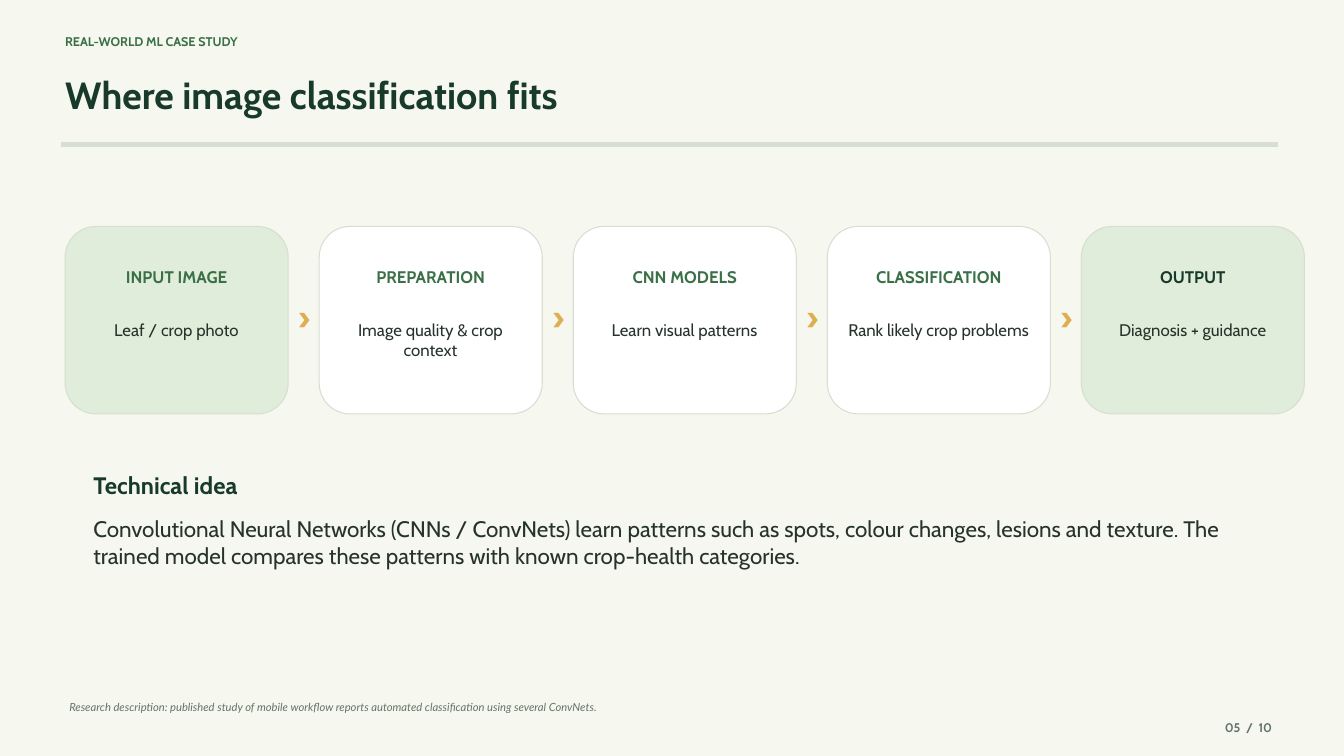
import pptx
import pptx.util
import pptx.dml.color
import pptx.enum.shapes
import pptx.enum.text

Pt = pptx.util.Pt
ALIGN = pptx.enum.text.PP_ALIGN
SHAPE = pptx.enum.shapes.MSO_SHAPE

COLORS = {
    "paper": "F6F7EF",
    "forest": "183A2B",
    "green": "3A7048",
    "mint": "E0EDDA",
    "border": "D6DFD2",
    "white": "FFFFFF",
    "ink": "26332B",
    "muted": "647468",
    "amber": "E0AE52",
}


class Deck:
    font = "Cabin"
    line_ratio = 1.2
    border_width = 1.13

    def __init__(self, width, height):
        self.presentation = pptx.Presentation()
        self.presentation.slide_width = Pt(width)
        self.presentation.slide_height = Pt(height)
        self.slide = None

    def color(self, name):
        return pptx.dml.color.RGBColor.from_string(COLORS[name])

    def add_slide(self, background):
        self.slide = self.presentation.slides.add_slide(self.presentation.slide_layouts[6])
        fill = self.slide.background.fill
        fill.solid()
        fill.fore_color.rgb = self.color(background)

    def text(self, box, wording, size, color, bold=False, italic=False, align=ALIGN.LEFT, font=None):
        frame = self.slide.shapes.add_textbox(*map(Pt, box)).text_frame
        frame.margin_left = frame.margin_right = frame.margin_top = frame.margin_bottom = 0
        frame.word_wrap = True
        frame.auto_size = pptx.enum.text.MSO_AUTO_SIZE.SHAPE_TO_FIT_TEXT
        paragraph = frame.paragraphs[0]
        paragraph.alignment = align
        paragraph.line_spacing = Pt(size * self.line_ratio)
        run = paragraph.add_run()
        run.text = wording
        run.font.name = font or self.font
        run.font.size = Pt(size)
        run.font.bold = bold
        run.font.italic = italic
        run.font.color.rgb = self.color(color)

    def panel(self, box, fill, radius=0):
        kind = SHAPE.ROUNDED_RECTANGLE if radius else SHAPE.RECTANGLE
        panel = self.slide.shapes.add_shape(kind, *map(Pt, box))
        if radius:
            panel.adjustments[0] = radius / min(box[2:])
        panel.shadow.inherit = False
        panel.fill.solid()
        panel.fill.fore_color.rgb = self.color(fill)
        panel.line.color.rgb = self.color("border")
        panel.line.width = Pt(self.border_width)

    def stage(self, left, heading, detail, fill, heading_color):
        self.panel((left, 242.6, 239, 200.9), fill, radius=33)
        self.text((left + 16.4, 285.8, 206, 31), heading, 18, heading_color, bold=True, align=ALIGN.CENTER)
        self.text((left + 20.6, 342.7, 197.3, 64.8), detail, 18, "ink", align=ALIGN.CENTER)

    def chevron(self, left):
        self.text((left, 316.1, 26.6, 37.4), "›", 37.5, "amber", bold=True, align=ALIGN.CENTER)


def main():
    deck = Deck(1440, 810)
    deck.add_slide("paper")

    deck.text((69.8, 36.7, 858, 22.3), "REAL-WORLD ML CASE STUDY", 13.5, "green", bold=True)
    deck.text((69.8, 76.3, 1301, 63.4), "Where image classification fits", 40.5, "forest", bold=True)
    deck.panel((66.2, 152.8, 1302.5, 3.9), "border")
    deck.text((1250, 771.1, 113, 16.6), "05  /  10", 13.5, "muted", bold=True, align=ALIGN.RIGHT)

    stages = [
        ("INPUT IMAGE", "Leaf / crop photo", "mint", "green"),
        ("PREPARATION", "Image quality & crop context", "white", "green"),
        ("CNN MODELS", "Learn visual patterns", "white", "green"),
        ("CLASSIFICATION", "Rank likely crop problems", "white", "green"),
        ("OUTPUT", "Diagnosis + guidance", "mint", "forest"),
    ]
    first_left, pitch = 69.8, 272.2
    for index, stage in enumerate(stages):
        left = first_left + index * pitch
        deck.stage(left, *stage)
        if index < len(stages) - 1:
            deck.chevron(left + 242.7)

    deck.text((100.1, 504.7, 210.2, 32.4), "Technical idea", 25.5, "forest", bold=True)
    deck.text(
        (100.1, 551.5, 1214.6, 102.2),
        "Convolutional Neural Networks (CNNs / ConvNets) learn patterns such as spots, colour changes, "
        "lesions and texture. The trained model compares these patterns with known crop-health categories.",
        24, "ink",
    )
    deck.text(
        (74.2, 750.2, 1203.8, 19.4),
        "Research description: published study of mobile workflow reports automated classification "
        "using several ConvNets.",
        12, "muted", italic=True, font="Lato",
    )

    deck.presentation.save("out.pptx")


if __name__ == "__main__":
    main()
